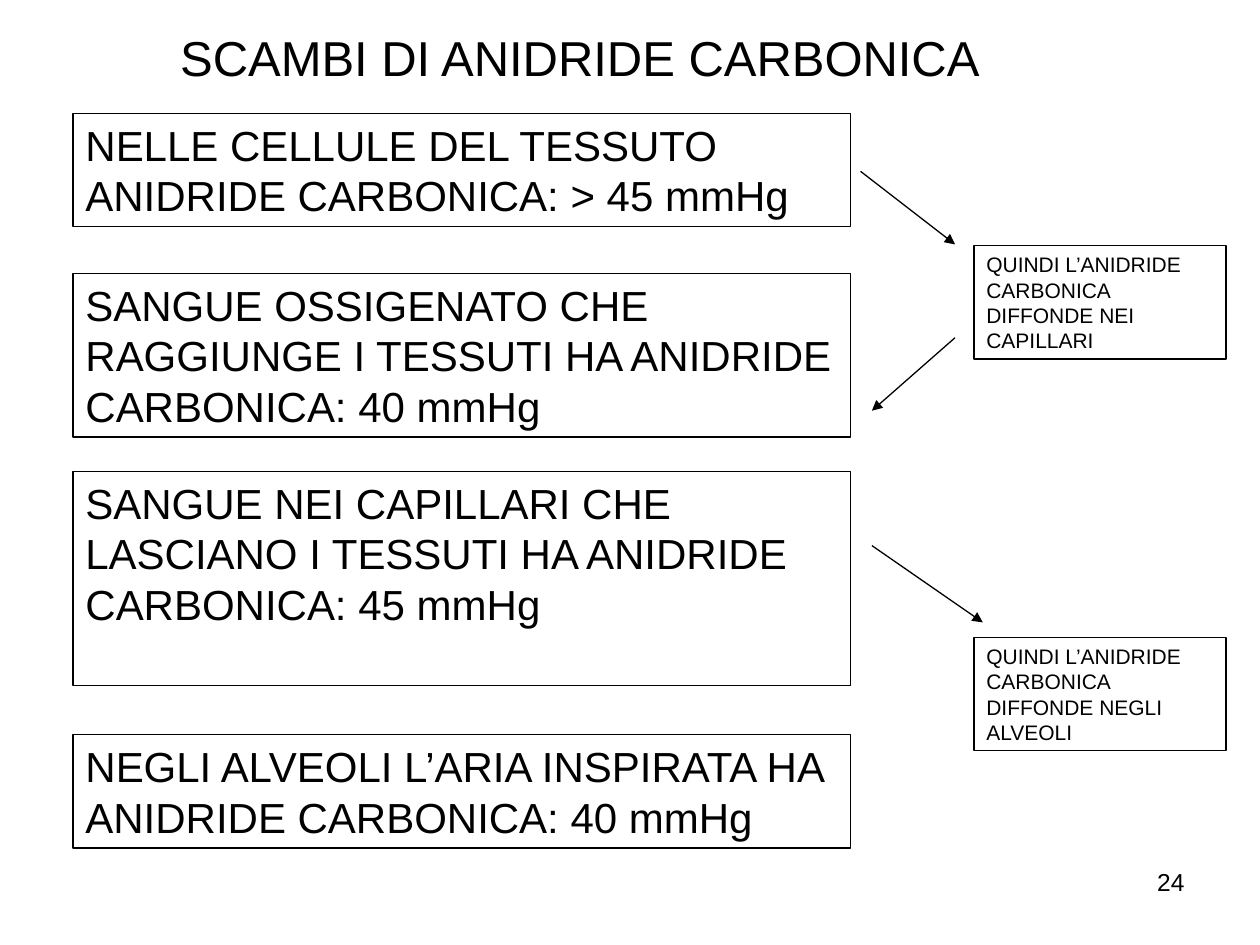
from lxml.etree import SubElement
from pptx import Presentation
from pptx.dml.color import RGBColor
from pptx.enum.shapes import MSO_CONNECTOR, MSO_SHAPE
from pptx.enum.text import MSO_ANCHOR, MSO_AUTO_SIZE, PP_ALIGN
from pptx.oxml.ns import qn
from pptx.util import Inches, Pt

BLACK = RGBColor(0, 0, 0)
WHITE = RGBColor(255, 255, 255)

FRAME = {
    "word_wrap": True,
    "auto_size": MSO_AUTO_SIZE.NONE,
    "vertical_anchor": MSO_ANCHOR.TOP,
    "margin_left": Inches(0.1),
    "margin_right": Inches(0.1),
    "margin_top": Inches(0.05),
    "margin_bottom": Inches(0.05),
}

STAGES = [
    (0.9, 0.9, "NELLE CELLULE DEL TESSUTO ANIDRIDE CARBONICA: > 45 mmHg"),
    (2.17, 1.3, "SANGUE OSSIGENATO CHE RAGGIUNGE I TESSUTI HA ANIDRIDE CARBONICA: 40 mmHg"),
    (3.74, 1.7, "SANGUE NEI CAPILLARI CHE LASCIANO I TESSUTI HA ANIDRIDE CARBONICA: 45 mmHg"),
    (5.83, 0.9, "NEGLI ALVEOLI L’ARIA INSPIRATA HA ANIDRIDE CARBONICA: 40 mmHg"),
]
NOTES = [
    (1.95, "QUINDI L’ANIDRIDE CARBONICA DIFFONDE NEI CAPILLARI"),
    (5.06, "QUINDI L’ANIDRIDE CARBONICA DIFFONDE NEGLI ALVEOLI"),
]
ARROWS = [
    (6.83, 1.36, 7.58, 1.94),
    (7.58, 2.68, 6.92, 3.26),
    (6.92, 4.33, 7.8, 4.94),
]


class Deck:
    def __init__(self, slide):
        self.slide = slide
        self.font = "Arial"
        self.line = Pt(0.75)

    def fill_text(self, shape, text, size, align=PP_ALIGN.LEFT):
        frame = shape.text_frame
        frame.text = text
        for name, value in FRAME.items():
            setattr(frame, name, value)
        para = frame.paragraphs[0]
        para.alignment = align
        font = para.runs[0].font
        for name, value in {"name": self.font, "size": Pt(size)}.items():
            setattr(font, name, value)
        font.color.rgb = BLACK

    def title(self, text, left, top, width, height):
        shape = self.slide.shapes.title
        place = {"left": left, "top": top, "width": width, "height": height}
        for name, value in place.items():
            setattr(shape, name, Inches(value))
        self.fill_text(shape, text, 28)

    def label(self, text, left, top, width, height):
        shape = self.slide.shapes.add_textbox(*map(Inches, (left, top, width, height)))
        self.fill_text(shape, text, 14, PP_ALIGN.RIGHT)

    def box(self, text, size, left, top, width, height):
        shape = self.slide.shapes.add_shape(
            MSO_SHAPE.RECTANGLE, *map(Inches, (left, top, width, height)))
        shape.shadow.inherit = False
        shape.fill.background()
        shape.line.color.rgb = BLACK
        shape.line.width = self.line
        self.fill_text(shape, text, size)

    def arrow(self, *ends):
        shape = self.slide.shapes.add_connector(
            MSO_CONNECTOR.STRAIGHT, *map(Inches, ends))
        shape.line.color.rgb = BLACK
        shape.line.width = self.line
        props = shape.element.spPr
        SubElement(props.find(qn("a:ln")), qn("a:tailEnd"), type="triangle")
        SubElement(props, qn("a:effectLst"))


def main():
    show = Presentation()
    show.slide_width = Inches(10)
    show.slide_height = Inches(7.5)
    slide = show.slides.add_slide(show.slide_layouts[5])
    slide.background.fill.solid()
    slide.background.fill.fore_color.rgb = WHITE
    deck = Deck(slide)
    deck.label("24", 7.17, 6.83, 2.33, 0.52)
    deck.title("SCAMBI DI ANIDRIDE CARBONICA", 1.33, 0.17, 6.83, 0.57)
    for top, height, text in STAGES:
        deck.box(text, 24, 0.58, top, 6.17, height)
    for top, text in NOTES:
        deck.box(text, 12, 7.73, top, 2, 0.9)
    for ends in ARROWS:
        deck.arrow(*ends)
    show.save("out.pptx")


if __name__ == "__main__":
    main()
